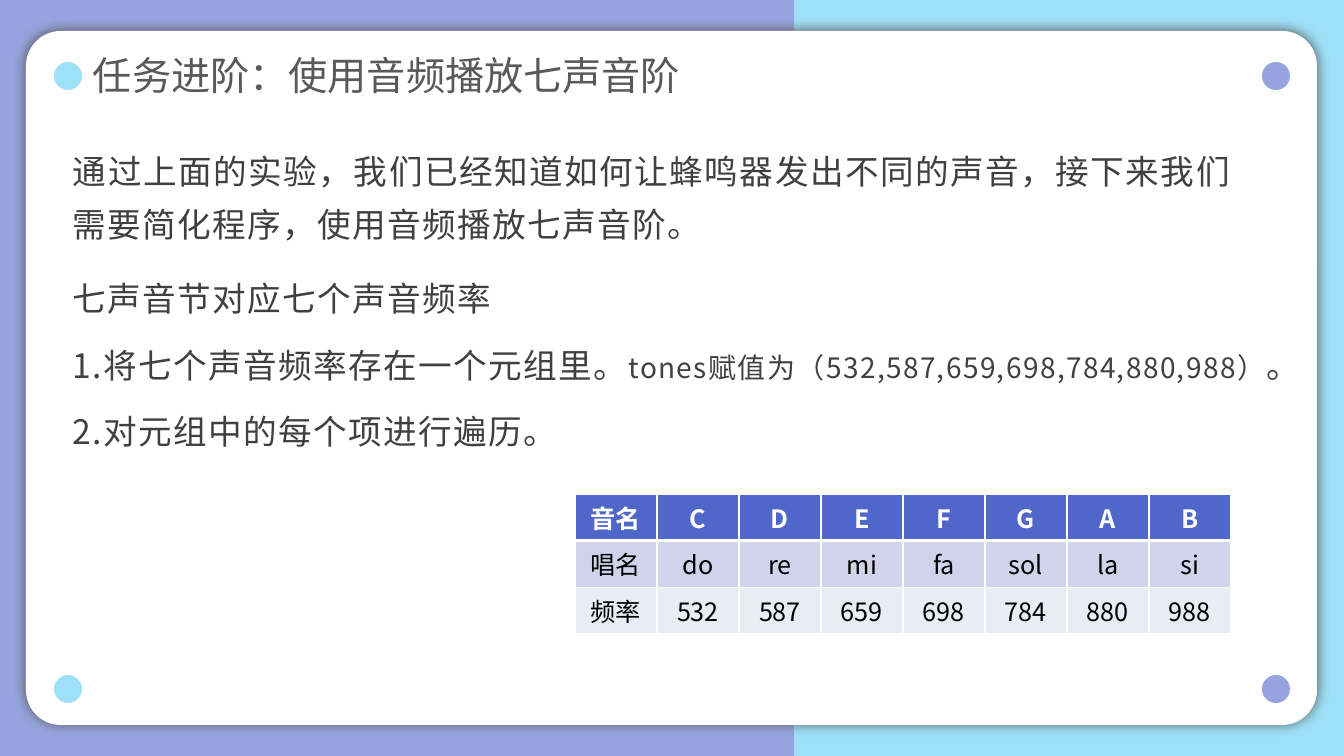
from lxml import etree
from pptx import Presentation
from pptx import util as u
from pptx.dml.color import RGBColor
from pptx.enum import shapes, text
from pptx.oxml import parse_xml
from pptx.oxml.ns import nsdecls, qn

COLORS = {
    "periwinkle": "95A4DE", "sky": "9EE0F8", "white": "FFFFFF", "shadow": "595959",
    "title": "595959", "body": "404040", "black": "000000",
    "header": "4E67C8", "band_dark": "D0D3EB", "band_light": "E9EBF5",
}
SHAPE = shapes.MSO_SHAPE
ALIGN = text.PP_ALIGN
MIDDLE = text.MSO_ANCHOR.MIDDLE
EMU_PER_PX = 914400 / 100.8


def px(value):
    return u.Emu(round(value * EMU_PER_PX))


def rgb(name):
    return RGBColor.from_string(COLORS[name])


def apply(target, values):
    for name, value in values.items():
        setattr(target, name, value)


class SlideBuilder:
    font = "Noto Sans CJK SC"

    def __init__(self, presentation):
        self.slide = presentation.slides.add_slide(presentation.slide_layouts[5])

    def background(self, color):
        fill = self.slide.background.fill
        fill.solid()
        fill.fore_color.rgb = rgb(color)

    def shape(self, kind, box, color):
        shape = self.slide.shapes.add_shape(kind, *map(px, box))
        shape.shadow.inherit = False
        shape.fill.solid()
        shape.fill.fore_color.rgb = rgb(color)
        shape.line.fill.background()
        return shape

    def card(self, box, radius):
        card = self.shape(SHAPE.ROUNDED_RECTANGLE, box, "white")
        card.adjustments[0] = radius
        effects = card._element.spPr.find(qn("a:effectLst"))
        effects.append(parse_xml(
            f'<a:outerShdw {nsdecls("a")} blurRad="{u.Pt(9)}" dist="0" dir="0" '
            f'rotWithShape="0"><a:srgbClr val="{COLORS["shadow"]}"/></a:outerShdw>'))

    def run(self, paragraph, words, size, color, bold=False, spacing=0):
        run = paragraph.add_run()
        run.text = words
        apply(run.font, {"name": self.font, "size": u.Pt(size), "bold": bold})
        run.font.color.rgb = rgb(color)
        properties = run._r.get_or_add_rPr()
        etree.SubElement(properties, qn("a:ea")).set("typeface", self.font)
        if spacing:
            properties.set("spc", str(spacing * 100))

    def frame(self, shape, box, anchor):
        apply(shape, dict(zip(("left", "top", "width", "height"), map(px, box))))
        apply(shape.text_frame, {
            "word_wrap": True, "auto_size": text.MSO_AUTO_SIZE.NONE, "vertical_anchor": anchor,
            "margin_left": 0, "margin_right": 0, "margin_top": px(5), "margin_bottom": px(5)})
        return shape.text_frame

    def title(self, box, words):
        title = self.slide.shapes.title
        title._element.getparent().append(title._element)
        paragraph = self.frame(title, box, MIDDLE).paragraphs[0]
        apply(paragraph, {"alignment": ALIGN.LEFT, "line_spacing": 0.9})
        self.run(paragraph, words, 28, "title")

    def text(self, box, paragraphs, alignment=ALIGN.LEFT):
        shape = self.slide.shapes.add_textbox(*map(px, box))
        frame = self.frame(shape, box, text.MSO_ANCHOR.TOP)
        for index, runs in enumerate(paragraphs):
            paragraph = frame.add_paragraph() if index else frame.paragraphs[0]
            apply(paragraph, {"alignment": alignment, "line_spacing": 1.3,
                              "space_before": u.Pt(10)})
            for words, size in runs:
                self.run(paragraph, words, size, "body", spacing=1)

    def borders(self, cell, bottom):
        properties = cell._tc.get_or_add_tcPr()
        widths = {"lnL": 1, "lnR": 1, "lnT": 1, "lnB": bottom}
        for index, (side, width) in enumerate(widths.items()):
            properties.insert(index, parse_xml(
                f'<a:{side} {nsdecls("a")} w="{u.Pt(width)}"><a:solidFill>'
                f'<a:srgbClr val="{COLORS["white"]}"/></a:solidFill></a:{side}>'))

    def table(self, left, top, column_width, row_height, rows, fills):
        row_count, column_count = len(rows), len(rows[0])
        table = self.slide.shapes.add_table(
            row_count, column_count, px(left), px(top),
            px(column_width * column_count), px(row_height * row_count)).table
        for row_index, (row, fill) in enumerate(zip(rows, fills)):
            header = row_index == 0
            for column_index, words in enumerate(row):
                cell = table.cell(row_index, column_index)
                cell.vertical_anchor = MIDDLE
                cell.fill.solid()
                cell.fill.fore_color.rgb = rgb(fill)
                self.borders(cell, 3 if header else 1)
                paragraph = cell.text_frame.paragraphs[0]
                paragraph.alignment = ALIGN.CENTER
                self.run(paragraph, words, 18, "white" if header else "black", bold=header)


def main():
    presentation = Presentation()
    apply(presentation, {"slide_width": px(1344), "slide_height": px(756)})
    builder = SlideBuilder(presentation)
    builder.background("sky")
    builder.shape(SHAPE.RECTANGLE, (0, 0, 794, 756), "periwinkle")
    builder.card((26, 31, 1291, 694), 0.05)
    for top in (62, 675):
        for left, color in ((54, "sky"), (1262, "periwinkle")):
            builder.shape(SHAPE.OVAL, (left, top, 28, 28), color)

    builder.title((93, 52, 646, 52), "任务进阶：使用音频播放七声音阶")
    builder.text((73, 134, 1159, 127), [
        [("通过上面的实验，我们已经知道如何让蜂鸣器发出不同的声音，"
          "接下来我们需要简化程序，使用音频播放七声音阶。", 24)],
    ], ALIGN.JUSTIFY)
    builder.text((73, 261, 1210, 427), [
        [("七声音节对应七个声音频率", 24)],
        [("1.将七个声音频率存在一个元组里。", 24),
         ("tones赋值为（532,587,659,698,784,880,988）", 20), ("。", 24)],
        [("2.对元组中的每个项进行遍历。", 24)],
    ])
    builder.table(575, 494, 82, 41, [
        ["音名", "C", "D", "E", "F", "G", "A", "B"],
        ["唱名", "do", "re", "mi", "fa", "sol", "la", "si"],
        ["频率", "532", "587", "659", "698", "784", "880", "988"],
    ], ["header", "band_dark", "band_light"])
    presentation.save("out.pptx")


if __name__ == "__main__":
    main()
